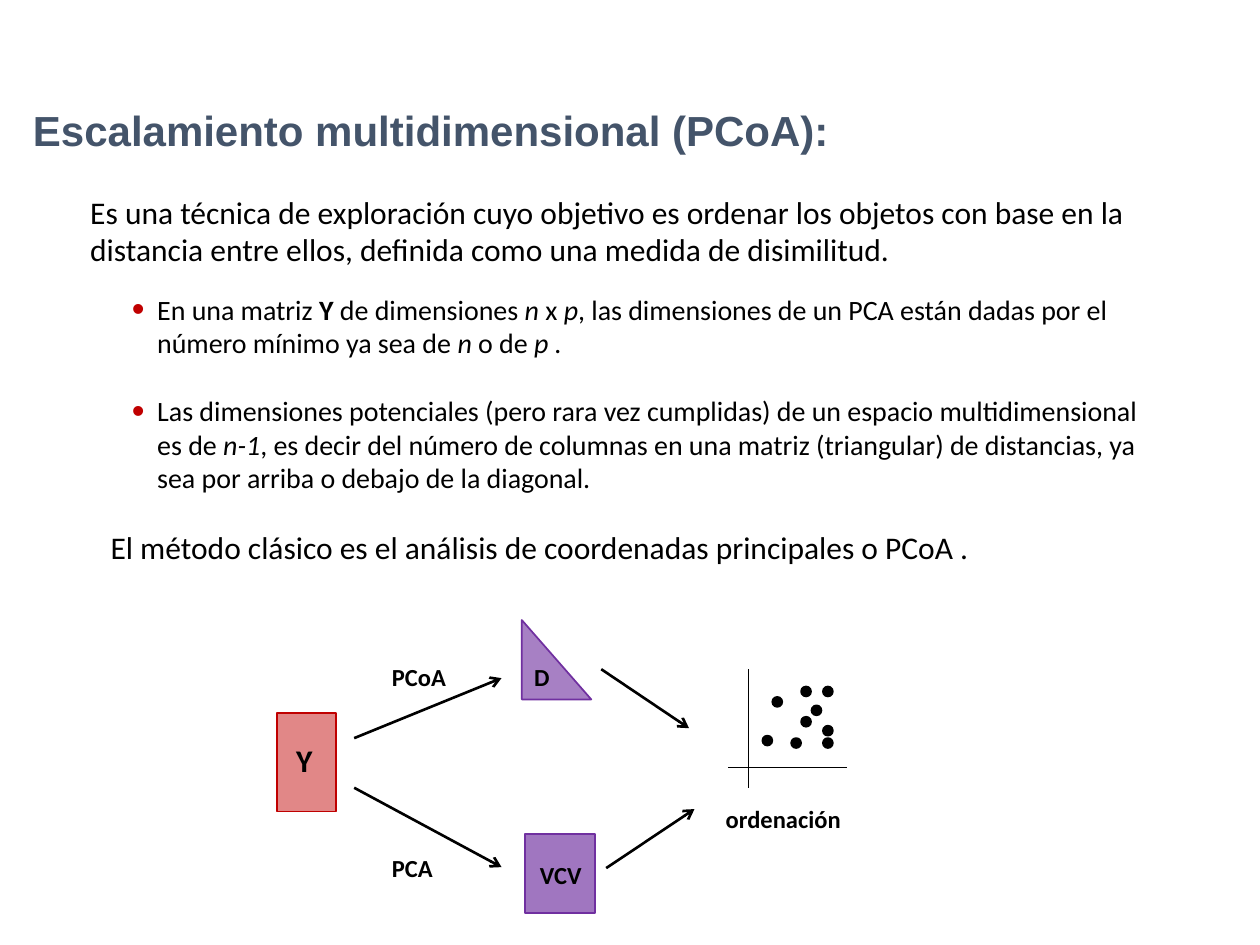
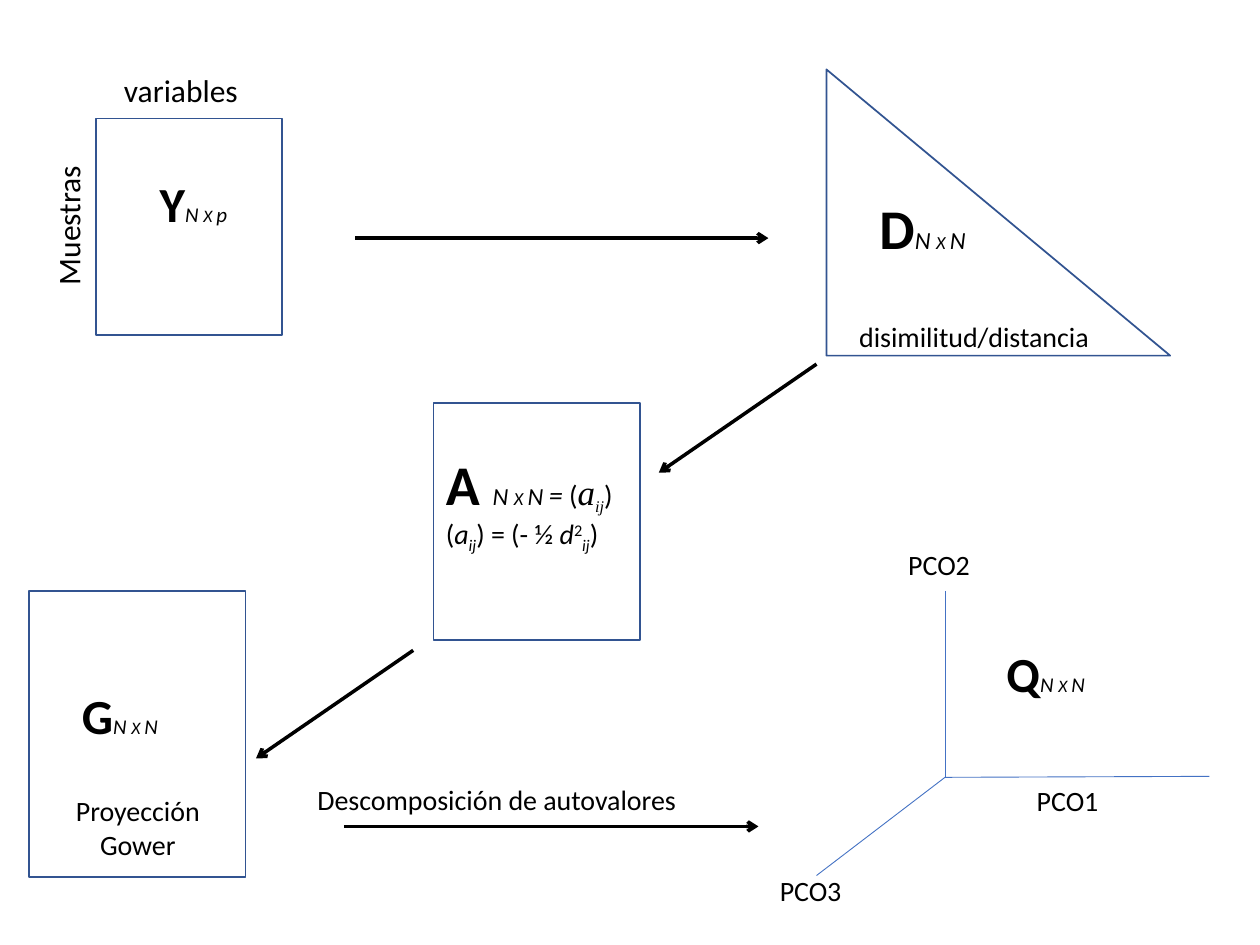
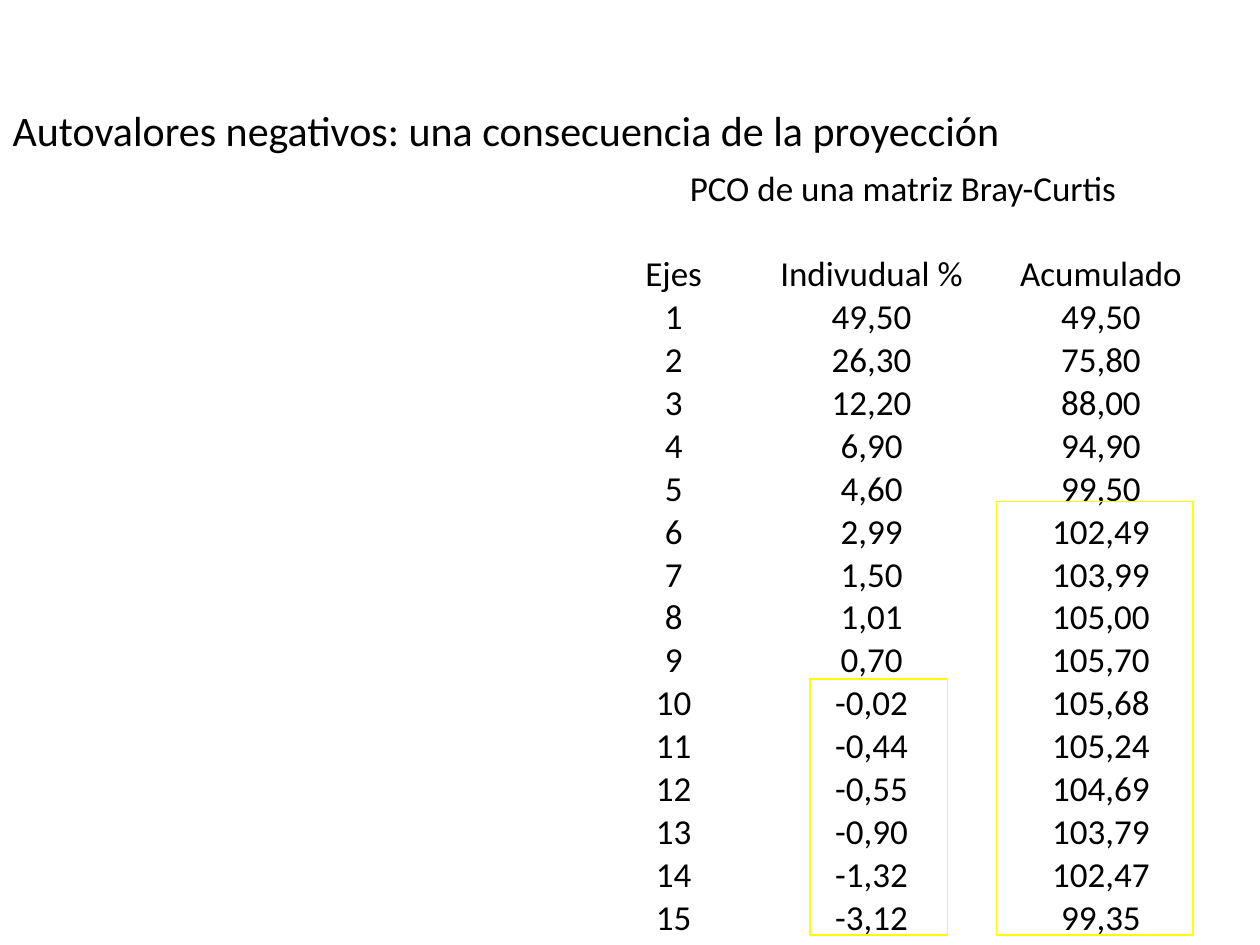
from itertools import accumulate

from lxml.etree import SubElement
from pptx import Presentation
from pptx.dml.color import RGBColor
from pptx.enum.shapes import MSO_CONNECTOR, MSO_SHAPE
from pptx.enum.text import MSO_ANCHOR, MSO_AUTO_SIZE, PP_ALIGN
from pptx.oxml.ns import qn
from pptx.util import Cm, Pt

BLACK = RGBColor(0x00, 0x00, 0x00)
SLATE = RGBColor(0x44, 0x54, 0x6A)
RED = RGBColor(0xC0, 0x00, 0x00)
PURPLE = RGBColor(0x70, 0x30, 0xA0)
NAVY = RGBColor(0x32, 0x54, 0x91)
BLUE = RGBColor(0x44, 0x72, 0xC4)
YELLOW = RGBColor(0xFF, 0xFF, 0x00)
BODY_FONT = "Calibri"
RECT, TRIANGLE, OVAL = MSO_SHAPE.RECTANGLE, MSO_SHAPE.RIGHT_TRIANGLE, MSO_SHAPE.OVAL
CENTER = PP_ALIGN.CENTER


def add_text(s, box, *paragraphs, size=16, bold=False, align=PP_ALIGN.LEFT):
    """Add a text box; a paragraph is a string or a list of (text, style) runs."""
    sp = s.shapes.add_textbox(*map(Cm, box))
    tf = sp.text_frame
    tf.word_wrap = True
    for i, runs in enumerate(paragraphs):
        p = tf.add_paragraph() if i else tf.paragraphs[0]
        p.alignment = align
        for text, style in [(runs, {})] if isinstance(runs, str) else runs:
            r = p.add_run()
            r.text = text
            r.font.name = style.get("font", BODY_FONT)
            r.font.size = Pt(style.get("size", size))
            r.font.bold = style.get("bold", bold)
            r.font.italic = style.get("italic", False)
            r.font.color.rgb = BLACK
            if "baseline" in style:
                r._r.get_or_add_rPr().set("baseline", str(style["baseline"] * 1000))
    return sp


def add_figure(s, kind, box, line, fill=None, opacity=100):
    sp = s.shapes.add_shape(kind, *map(Cm, box))
    sp.shadow.inherit = False
    sp.line.color.rgb = line
    sp.line.width = Pt(1)
    if fill is None:
        sp.fill.background()
        return
    sp.fill.solid()
    sp.fill.fore_color.rgb = fill
    if opacity < 100:
        color = sp.element.spPr.find(qn("a:solidFill")).find(qn("a:srgbClr"))
        SubElement(color, qn("a:alpha"), val=str(opacity * 1000))


prs = Presentation()
prs.slide_width, prs.slide_height = Cm(25.4), Cm(19.05)
title_only, blank = prs.slide_layouts[5], prs.slide_layouts[6]
intro, steps, eigen = [prs.slides.add_slide(layout) for layout in (title_only, blank, title_only)]

# Titles
for s, text, left, font, color, bold in [
    (intro, "Escalamiento multidimensional (PCoA):", 0.41, "Arial", SLATE, True),
    (eigen, "Autovalores negativos: una consecuencia de la proyección", 0, BODY_FONT, BLACK, False),
]:
    title = s.shapes.title
    title.left, title.top, title.width, title.height = map(Cm, (left, 1.98, 23.62, 1.27))
    tf = title.text_frame
    tf.text = text
    tf.word_wrap = True
    tf.auto_size = MSO_AUTO_SIZE.NONE
    tf.vertical_anchor = MSO_ANCHOR.TOP
    p = tf.paragraphs[0]
    p.alignment = PP_ALIGN.LEFT
    f = p.runs[0].font
    f.name, f.size, f.bold = font, Pt(24), bold
    f.color.rgb = color

# Slide 1: definition
ITALIC, BOLD = {"italic": True}, {"bold": True}
add_text(intro, (1.57, 3.76, 22.81, 1.8),
         "Es una técnica de exploración cuyo objetivo es ordenar los objetos con base en la "
         "distancia entre ellos, definida como una medida de disimilitud.", size=18)
bullets = add_text(
    intro, (2.18, 5.77, 21.03, 4.37),
    [("En una matriz ", {}), ("Y", BOLD), (" de dimensiones ", {}), ("n", ITALIC), (" x ", {}),
     ("p", ITALIC),
     (", las dimensiones de un PCA están dadas por el número mínimo ya sea de ", {}),
     ("n", ITALIC), (" o de ", {}), ("p .", ITALIC)],
    [("Las dimensiones potenciales (pero rara vez cumplidas) de un espacio multidimensional es de ", {}),
     ("n-1", ITALIC),
     (", es decir del número de columnas en una matriz (triangular) de distancias, "
      "ya sea por arriba o debajo de la diagonal.", {})])
for p, gap in zip(bullets.text_frame.paragraphs, (0, 19.5)):
    p.space_before = Pt(gap)
    pPr = p._p.get_or_add_pPr()
    pPr.set("marL", str(Cm(0.74)))
    pPr.set("indent", str(Cm(-0.51)))
    SubElement(SubElement(pPr, qn("a:buClr")), qn("a:srgbClr"), val=str(RED))
    SubElement(pPr, qn("a:buSzPct"), val="130000")
    SubElement(pPr, qn("a:buFont"), typeface="Arial")
    SubElement(pPr, qn("a:buChar"), char="•")
add_text(intro, (1.98, 10.52, 21.23, 1.02),
         "El método clásico es el análisis de coordenadas principales o PCoA .", size=18)

# Slide 1: two routes to the ordination
add_figure(intro, RECT, (10.59, 16.81, 1.4, 1.6), PURPLE, PURPLE, 66)
add_figure(intro, TRIANGLE, (10.52, 12.5, 1.4, 1.6), PURPLE, PURPLE, 61)
add_figure(intro, RECT, (5.59, 14.38, 1.19, 1.98), RED, RED, 47)
for x, y in [(15.57, 14.05), (16.15, 14.45), (16.59, 13.84), (16.59, 14.63), (15.95, 14.88),
             (16.36, 14.22), (16.15, 13.84), (16.59, 14.88), (15.37, 14.83)]:
    add_figure(intro, OVAL, (x, y, 0.2, 0.2), BLACK, BLACK)
add_text(intro, (5.72, 14.81, 0.99, 1.02), "Y", size=18, bold=True)
for text, x, y, w, align in [
    ("VCV", 10.49, 17.22, 1.63, CENTER),
    ("D", 10.11, 13.23, 1.63, CENTER),
    ("ordenación", 14.38, 16.08, 3.2, PP_ALIGN.LEFT),
    ("PCoA", 7.65, 13.23, 1.88, PP_ALIGN.LEFT),
    ("PCA", 7.65, 17.07, 1.57, PP_ALIGN.LEFT),
]:
    add_text(intro, (x, y, w, 0.86), text, size=14, bold=True, align=align)

# Slide 2: steps from the data matrix to the principal coordinates
for kind, *box in [
    (RECT, 1.93, 2.39, 3.76, 4.37),
    (TRIANGLE, 16.66, 1.4, 6.93, 5.77),
    (RECT, 0.58, 11.91, 4.37, 5.77),
    (RECT, 8.74, 8.13, 4.17, 4.78),
]:
    add_figure(steps, kind, box, NAVY)
for name, columns, big, small, times, *box in [
    ("Y", "p", 28, 12, 10, 2.97, 3.38, 2.18, 1.45),
    ("D", "N", 32, 14, 10.5, 17.48, 3.78, 2.59, 1.63),
    ("G", "N", 28, 12, 10, 1.4, 13.69, 2.59, 1.45),
    ("Q", "N", 28, 12, 10, 20.04, 12.85, 2.59, 1.45),
]:
    add_text(steps, box, [(name, {"size": big, "bold": True}),
                          ("N ", {"size": small, "italic": True}),
                          ("X ", {"size": times, "italic": True}),
                          (columns, {"size": small, "italic": True})])
SUB = {"italic": True, "baseline": -25}
add_text(steps, (8.74, 8.94, 4.57, 2.31),
         [("A ", {"size": 32, "bold": True}), ("N ", {"size": 14, "italic": True}),
          ("X ", {"size": 10.5, "italic": True}), ("N ", {"size": 14, "italic": True}),
          ("= ", ITALIC), ("(", {}),
          ("a", {"size": 20, "font": "Times New Roman", "italic": True}),
          ("ij", {"font": "Times New Roman", **SUB}), (")", {})],
         [("(", {}), ("a", ITALIC), ("ij", SUB), (") = (- ½ ", {}), ("d", ITALIC),
          ("2", {"baseline": 30}), ("ij", SUB), (")", {})])
add_text(steps, (2.25, 1.31, 3.18, 1.27), "variables", size=18)
add_text(steps, (-0.51, 3.61, 3.76, 1.02), "Muestras", size=18).rotation = 270
add_text(steps, (0.99, 15.88, 3.58, 1.63), "Proyección Gower", align=CENTER)
for text, x, y, w in [
    ("disimilitud/distancia", 17.07, 6.32, 5.94),
    ("Descomposición de autovalores", 6.15, 15.65, 8.94),
    ("PCO1", 20.65, 15.67, 3.18),
    ("PCO2", 18.06, 10.92, 3.18),
    ("PCO3", 15.47, 17.48, 3.18),
]:
    add_text(steps, (x, y, w, 0.94), text)

# Arrows and axes of both diagrams
for s, color, width, arrow, lines in [
    (intro, BLACK, 1.5, True, [(7.14, 14.88, 10.11, 13.67), (7.14, 15.88, 10.11, 17.48),
                               (12.12, 13.49, 13.89, 14.68), (12.22, 17.5, 14, 16.31)]),
    (intro, BLACK, 0.5, False, [(15.09, 13.49, 15.09, 15.88), (17.07, 15.47, 14.68, 15.47)]),
    (steps, BLACK, 2, True, [(16.46, 7.34, 13.28, 9.53), (7.16, 4.8, 15.49, 4.8),
                             (6.93, 16.66, 15.29, 16.66), (8.33, 13.11, 5.16, 15.29)]),
    (steps, BLUE, 0.5, False, [(19.05, 11.91, 19.05, 15.67), (24.38, 15.65, 19.05, 15.67),
                               (19.05, 15.67, 16.46, 17.65)]),
]:
    for ends in lines:
        cn = s.shapes.add_connector(MSO_CONNECTOR.STRAIGHT, *map(Cm, ends))
        cn.line.color.rgb = color
        cn.line.width = Pt(width)
        if arrow:
            SubElement(cn.line._get_or_add_ln(), qn("a:tailEnd"), type="arrow")
        SubElement(cn.element.spPr, qn("a:effectLst"))

# Slide 3: eigenvalues and their running total
percents = [49.5, 26.3, 12.2, 6.9, 4.6, 2.99, 1.5, 1.01, 0.7,
            -0.02, -0.44, -0.55, -0.9, -1.32, -3.12]
rows = [("PCO de una matriz Bray-Curtis", "", ""), ("", "", ""),
        ("Ejes", "Indivudual %", "Acumulado")]
for axis, (percent, total) in enumerate(zip(percents, accumulate(percents)), 1):
    rows.append((str(axis), *(f"{v:.2f}".replace(".", ",") for v in (percent, total))))

widths, row_height = (2.82, 5.16, 4.09), 0.86
table = eigen.shapes.add_table(len(rows), len(widths), Cm(12.17), Cm(3.38),
                               Cm(sum(widths)), Cm(row_height * len(rows))).table
table.first_row = table.horz_banding = False
for column, width in zip(table.columns, widths):
    column.width = Cm(width)
table.cell(0, 0).merge(table.cell(0, 2))
for i, row in enumerate(rows):
    table.rows[i].height = Cm(row_height)
    for j, text in enumerate(row):
        cell = table.cell(i, j)
        cell.fill.background()
        cell.margin_left = cell.margin_right = cell.margin_top = cell.margin_bottom = 0
        cell.vertical_anchor = MSO_ANCHOR.BOTTOM
        if text:
            cell.text = text
            p = cell.text_frame.paragraphs[0]
            p.alignment = CENTER
            f = p.runs[0].font
            f.name, f.size = BODY_FONT, Pt(20)
            f.color.rgb = BLACK

for box in [(20.09, 10.11, 3.96, 8.74), (16.33, 13.69, 2.77, 5.16)]:
    add_figure(eigen, RECT, box, YELLOW)

prs.save("out.pptx")
